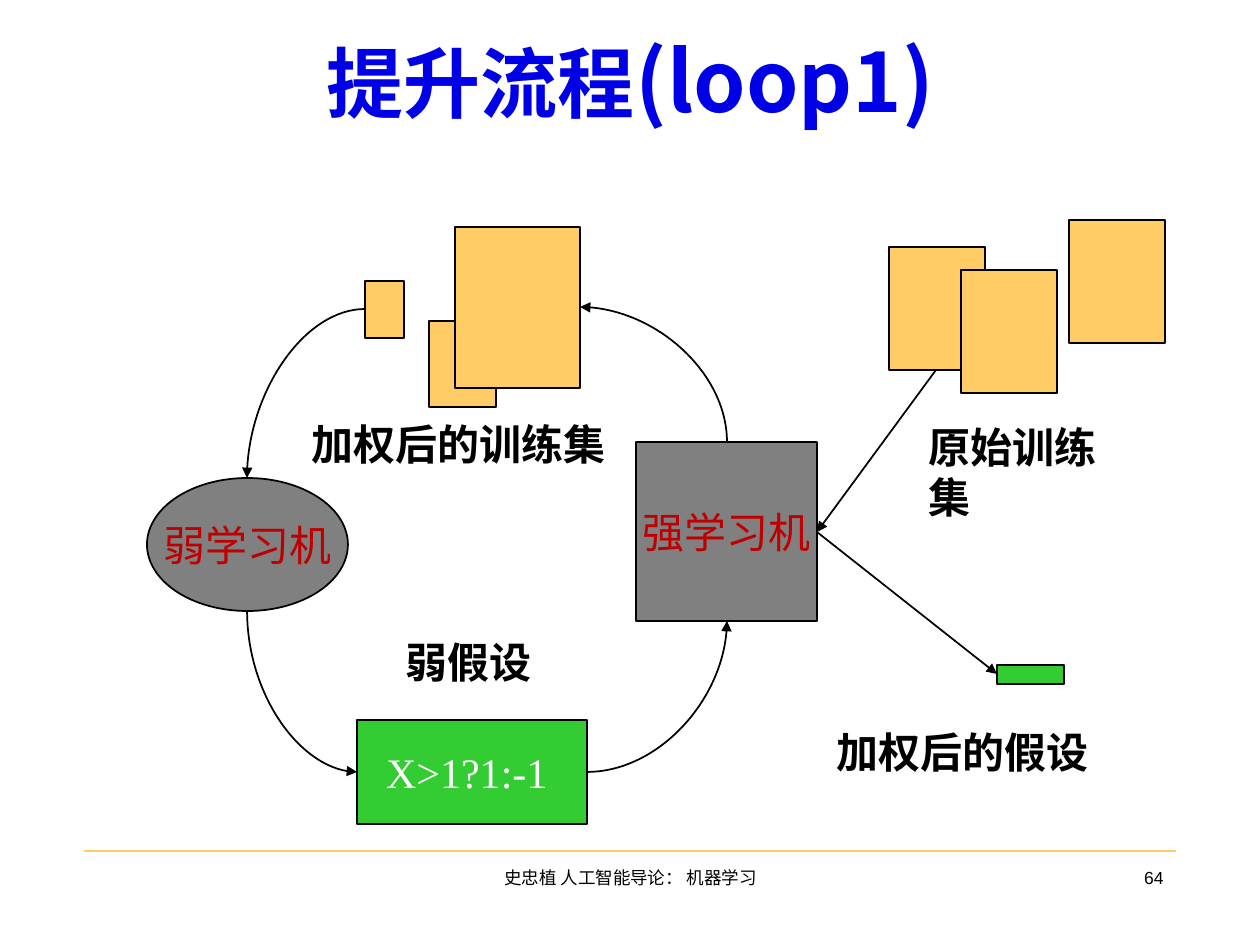
from dataclasses import dataclass
from typing import Optional

from lxml import etree
from pptx import Presentation
from pptx.dml.color import RGBColor
from pptx.enum import shapes, text
from pptx.oxml import ns
from pptx.util import Emu, Pt

SCALE = 914400 / 126
BLACK = RGBColor(0x00, 0x00, 0x00)
WHITE = RGBColor(0xFF, 0xFF, 0xFF)
BLUE = RGBColor(0x00, 0x00, 0xE7)
RED = RGBColor(0xC0, 0x00, 0x00)
GRAY = RGBColor(0x80, 0x80, 0x80)
AMBER = RGBColor(0xFF, 0xCC, 0x66)
GREEN = RGBColor(0x33, 0xCC, 0x33)
CJK_FONT = "Noto Sans CJK SC"
BODY_FONT = "Times New Roman"
FOOTER_FONT = "Arial"
RECTANGLE = shapes.MSO_SHAPE.RECTANGLE
OVAL = shapes.MSO_SHAPE.OVAL
LEFT, CENTER, RIGHT = text.PP_ALIGN.LEFT, text.PP_ALIGN.CENTER, text.PP_ALIGN.RIGHT


@dataclass
class Block:
    left: int
    top: int
    width: int
    height: int
    fill: RGBColor
    caption: str = ""
    color: RGBColor = RED
    preset: shapes.MSO_SHAPE = RECTANGLE


@dataclass
class Label:
    left: int
    top: int
    width: int
    wording: str
    size: int = 24
    bold: bool = True
    font: str = BODY_FONT
    align: text.PP_ALIGN = LEFT
    wrap: bool = False
    height: int = 63


@dataclass
class Link:
    start: tuple[int, int]
    end: tuple[int, int]
    curved: bool = False
    leaves_vertically: bool = False
    arrow: bool = True
    color: RGBColor = BLACK
    weight: float = 1


ORIGINAL_SETS = [
    Block(left, top, 96, 123, AMBER) for left, top in ((889, 247), (961, 270), (1069, 220))
]
WEIGHTED_SETS = [
    Block(365, 281, 39, 57, AMBER),
    Block(429, 321, 67, 86, AMBER),
    Block(455, 227, 125, 161, AMBER),
]
BLOCKS = [
    Block(636, 442, 181, 179, GRAY, "强学习机"),
    Block(147, 478, 201, 133, GRAY, "弱学习机", preset=OVAL),
    *ORIGINAL_SETS,
    *WEIGHTED_SETS,
    Block(997, 665, 67, 19, GREEN),
    Block(357, 720, 230, 104, GREEN, "X>1?1:-1 ", WHITE),
]
LABELS = [
    Label(916, 415, 234, "原始训练集"),
    Label(299, 412, 319, "加权后的训练集"),
    Label(824, 720, 277, "加权后的假设"),
    Label(393, 630, 151, "弱假设"),
    Label(431, 861, 399, "史忠植 人工智能导论： 机器学习", 10, False, FOOTER_FONT, CENTER, True),
    Label(914, 861, 262, "64", 10, False, FOOTER_FONT, RIGHT, True),
]
LINKS = [
    Link((84, 851), (1176, 851), arrow=False, color=AMBER, weight=1.5),
    Link((936, 370), (817, 532)),
    Link((817, 532), (997, 674)),
    Link((727, 442), (580, 307), curved=True, leaves_vertically=True),
    Link((365, 309), (247, 478), curved=True),
    Link((247, 611), (357, 772), curved=True, leaves_vertically=True),
    Link((587, 772), (727, 621), curved=True),
]


def px(value: float) -> Emu:
    return Emu(round(value * SCALE))


def assign(target, values: dict) -> None:
    for name, value in values.items():
        setattr(target, name, value)


def write(para, wording: str, font: str, size: int, color: RGBColor, bold: bool = False) -> None:
    span = para.add_run()
    span.text = wording
    assign(span.font, {"name": font, "size": Pt(size), "bold": bold})
    span.font.color.rgb = color
    east_asian = etree.SubElement(span.font._element, ns.qn("a:ea"))
    east_asian.set("typeface", CJK_FONT)


def draw_title(page) -> None:
    title = page.shapes.title
    assign(title, {"left": px(95), "top": 0, "width": px(1071), "height": px(158)})
    title.text_frame.vertical_anchor = text.MSO_ANCHOR.MIDDLE
    para = title.text_frame.paragraphs[0]
    para.alignment = CENTER
    for wording, size in (("提升流程", 44), ("(loop1)", 48)):
        write(para, wording, CJK_FONT, size, BLUE, True)


def draw_block(page, block: Block) -> None:
    bounds = map(px, (block.left, block.top, block.width, block.height))
    box = page.shapes.add_shape(block.preset, *bounds)
    box.shadow.inherit = False
    box.fill.solid()
    box.fill.fore_color.rgb = block.fill
    box.line.color.rgb = BLACK
    box.line.width = Pt(1)
    if block.caption:
        assign(box.text_frame, {"word_wrap": False, "vertical_anchor": text.MSO_ANCHOR.MIDDLE})
        para = box.text_frame.paragraphs[0]
        para.alignment = CENTER
        write(para, block.caption, BODY_FONT, 24, block.color)


def draw_label(page, label: Label) -> None:
    box = page.shapes.add_textbox(*map(px, (label.left, label.top, label.width, label.height)))
    fit = text.MSO_AUTO_SIZE.NONE if label.wrap else text.MSO_AUTO_SIZE.SHAPE_TO_FIT_TEXT
    assign(box.text_frame, {"word_wrap": label.wrap, "auto_size": fit})
    para = box.text_frame.paragraphs[0]
    para.alignment = label.align
    write(para, label.wording, label.font, label.size, BLACK, label.bold)


def quarter_turn(link: Link) -> tuple[float, float, float, float]:
    (x1, y1), (x2, y2) = link.start, link.end
    middle_x, middle_y = (x1 + x2) / 2, (y1 + y2) / 2
    half_x, half_y = (x2 - x1) / 2, (y2 - y1) / 2
    return middle_x + half_y, middle_y - half_x, middle_x - half_y, middle_y + half_x


def draw_link(page, link: Link) -> None:
    kind = shapes.MSO_CONNECTOR.CURVE if link.curved else shapes.MSO_CONNECTOR.STRAIGHT
    ends = quarter_turn(link) if link.leaves_vertically else (*link.start, *link.end)
    connector = page.shapes.add_connector(kind, *map(px, ends))
    connector.line.color.rgb = link.color
    connector.line.width = Pt(link.weight)
    properties = connector._element.spPr
    if link.curved:
        properties.find(ns.qn("a:prstGeom")).set("prst", "curvedConnector2")
    if link.leaves_vertically:
        properties.find(ns.qn("a:xfrm")).set("rot", str(270 * 60000))
    if link.arrow:
        tail = etree.SubElement(properties.find(ns.qn("a:ln")), ns.qn("a:tailEnd"))
        for name, value in {"type": "triangle", "w": "med", "len": "med"}.items():
            tail.set(name, value)
    etree.SubElement(properties, ns.qn("a:effectLst"))


def main() -> None:
    deck = Presentation()
    assign(deck, {"slide_width": px(1260), "slide_height": px(945)})
    page = deck.slides.add_slide(deck.slide_layouts.get_by_name("Title Only"))
    draw_title(page)
    for block in BLOCKS:
        draw_block(page, block)
    for label in LABELS:
        draw_label(page, label)
    for link in LINKS:
        draw_link(page, link)
    deck.save("out.pptx")


if __name__ == "__main__":
    main()
